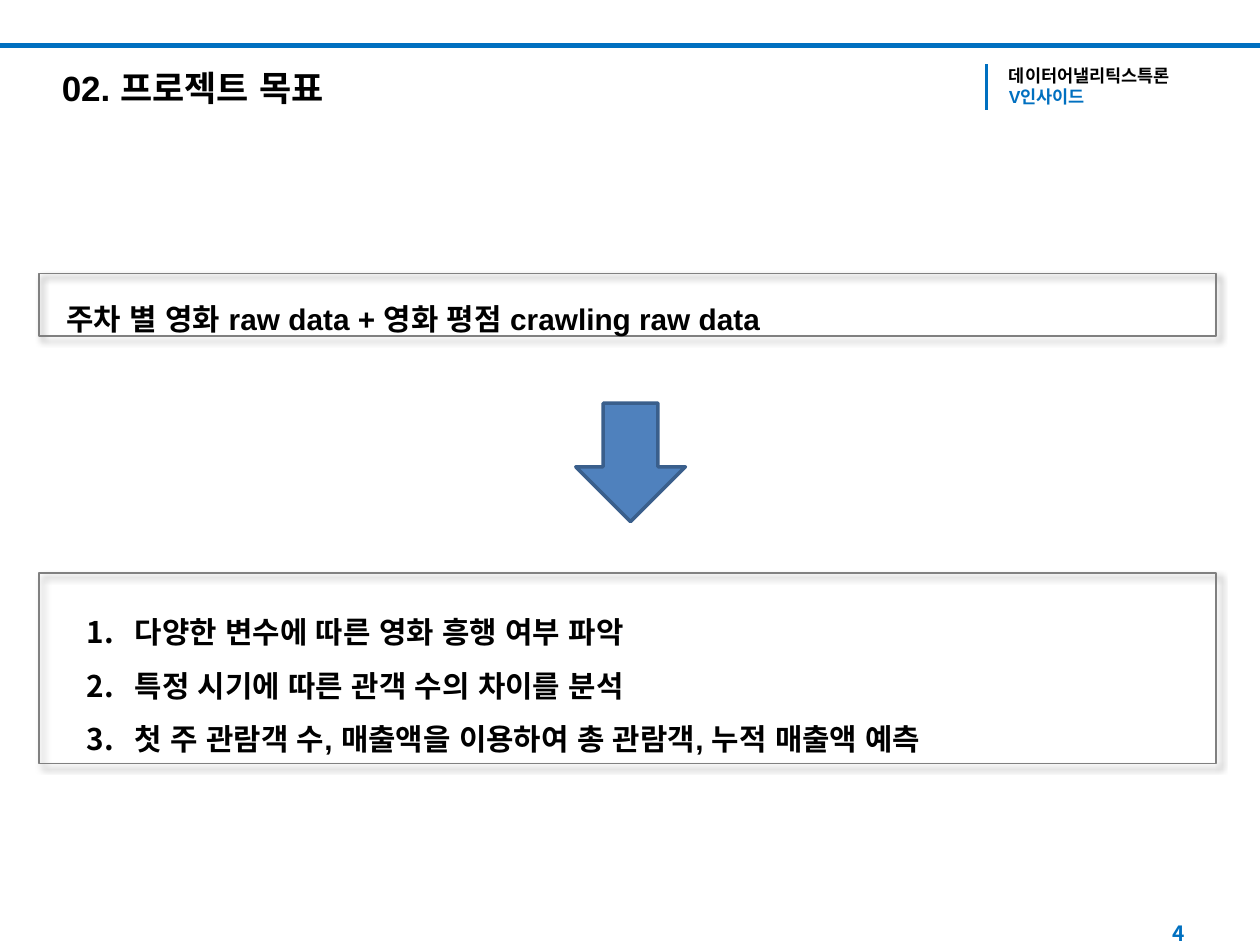
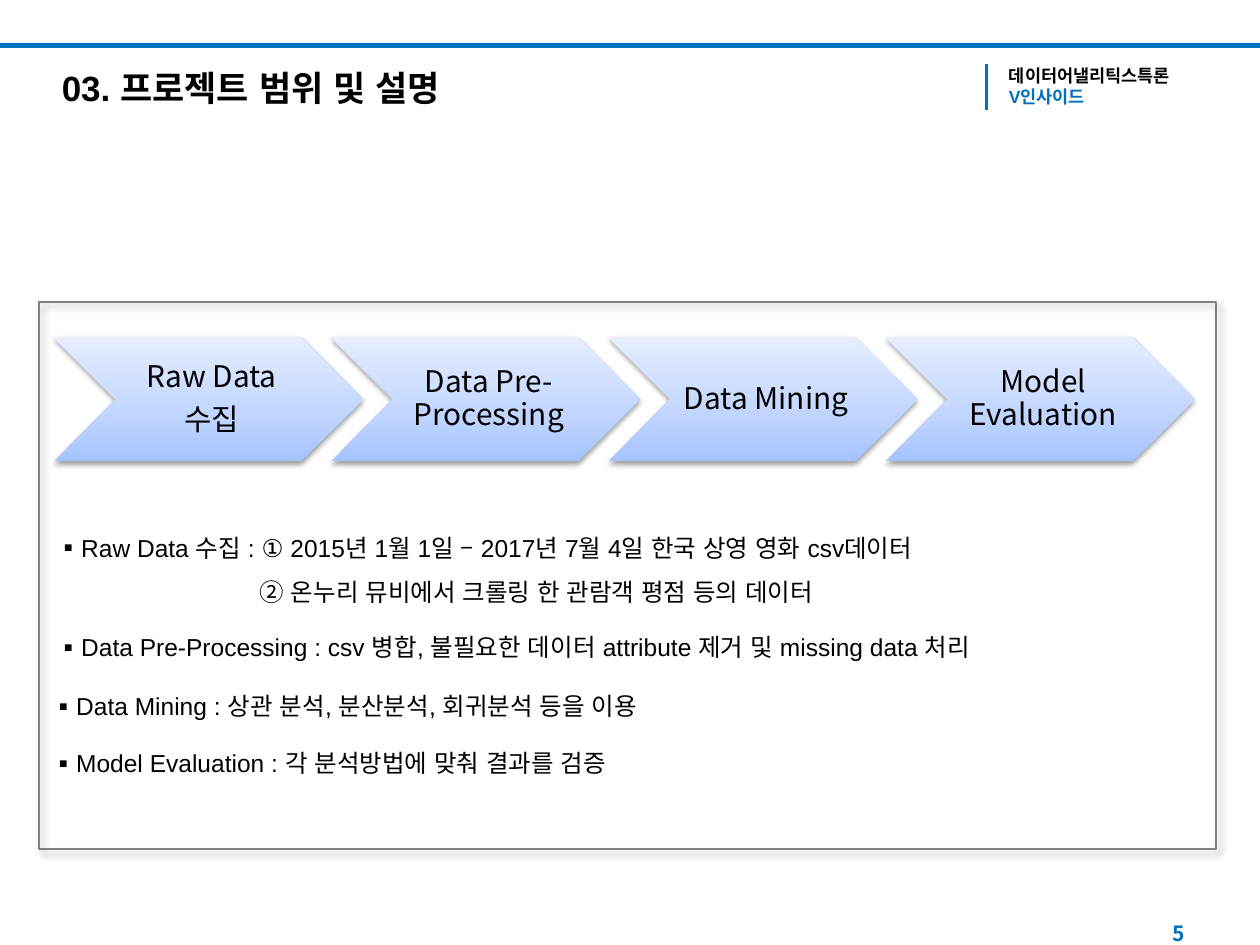
"""Build two project slides: the goal, and the scope with its process steps."""
from copy import deepcopy
from dataclasses import dataclass

from lxml import etree
from pptx import Presentation
from pptx.dml.color import RGBColor
from pptx.enum.lang import MSO_LANGUAGE_ID
from pptx.enum.shapes import MSO_CONNECTOR, MSO_SHAPE
from pptx.enum.text import MSO_ANCHOR, MSO_AUTO_SIZE, PP_ALIGN
from pptx.oxml.ns import qn
from pptx.util import Inches, Pt

KOREAN = MSO_LANGUAGE_ID.KOREAN
STRAIGHT = MSO_CONNECTOR.STRAIGHT
RECTANGLE, DOWN_ARROW, CHEVRON = MSO_SHAPE.RECTANGLE, MSO_SHAPE.DOWN_ARROW, MSO_SHAPE.CHEVRON
TOP, MIDDLE = MSO_ANCHOR.TOP, MSO_ANCHOR.MIDDLE
NO_AUTOFIT = MSO_AUTO_SIZE.NONE
LEFT, CENTER, RIGHT, JUSTIFY = PP_ALIGN.LEFT, PP_ALIGN.CENTER, PP_ALIGN.RIGHT, PP_ALIGN.JUSTIFY


@dataclass(frozen=True)
class Theme:
    """Colours, fonts and type sizes."""
    black: RGBColor = RGBColor.from_string("000000")
    accent: RGBColor = RGBColor.from_string("0070C0")
    frame: RGBColor = RGBColor.from_string("808080")
    arrow: RGBColor = RGBColor.from_string("4F81BD")
    arrow_edge: RGBColor = RGBColor.from_string("3A5F8C")
    step_stops: tuple = ((0, "A4C4FF"), (0.35, "BFD4FF"), (1, "E6EEFF"))
    latin: str = "Arial"
    korean: str = "Noto Sans CJK KR"
    title: int = 20
    goal: int = 17
    detail: int = 14
    number: int = 12
    label: int = 10


theme = Theme()


def add_run(paragraph, text, size, bold=False, color=theme.black, latin=theme.latin):
    run = paragraph.add_run()
    run.text = text
    font = run.font
    font.size, font.bold, font.name = Pt(size), bold, latin
    font.color.rgb = color
    font.language_id = KOREAN
    east_asian = etree.SubElement(run._r.rPr, qn("a:ea"))
    east_asian.set("typeface", theme.korean)


def add_shadow(shape, blur, distance, angle, opacity):
    shape.shadow.inherit = False
    effects = shape._element.spPr.find(qn("a:effectLst"))
    shadow = etree.SubElement(effects, qn("a:outerShdw"), blurRad=str(Pt(blur)),
                              dist=str(Pt(distance)), dir=str(angle * 60000),
                              algn="tl", rotWithShape="0")
    color = etree.SubElement(shadow, qn("a:srgbClr"), val=str(theme.black))
    etree.SubElement(color, qn("a:alpha"), val=str(opacity * 1000))


number_bullet = ("a:buAutoNum", {"type": "arabicPeriod"})
square_bullet = ("a:buChar", {"char": "▪"})
no_bullet = ("a:buNone", {})

pages = [
    {
        "title": "02. 프로젝트 목표",
        "title_width": 3.44,
        "frames": [(2.17, 0.5), (4.55, 1.51)],
        "body": (0.59, 4.68, 8.5, 1.39),
        "size": theme.goal,
        "bold": True,
        "items": [
            ("다양한 변수에 따른 영화 흥행 여부 파악", 0.38, -0.38, 0, number_bullet),
            ("특정 시기에 따른 관객 수의 차이를 분석", 0.38, -0.38, 0, number_bullet),
            ("첫 주 관람객 수, 매출액을 이용하여 총 관람객, 누적 매출액 예측",
             0.38, -0.38, 0, number_bullet),
        ],
    },
    {
        "title": "03. 프로젝트 범위 및 설명",
        "title_width": 3.66,
        "frames": [(2.4, 4.34)],
        "body": (0.31, 4.06, 9.34, 2.16),
        "size": theme.detail,
        "bold": False,
        "items": [
            ("Raw Data 수집 : ① 2015년 1월 1일 – 2017년 7월 4일 한국 상영 영화 csv데이터",
             0.16, -0.12, 0, square_bullet),
            ("② 온누리 뮤비에서 크롤링 한 관람객 평점 등의 데이터", 1.65, 0, 0, no_bullet),
            ("Data Pre-Processing : csv 병합, 불필요한 데이터 attribute 제거 및 missing data 처리",
             0.16, -0.12, 6.5, square_bullet),
            ("Data Mining : 상관 분석, 분산분석, 회귀분석 등을 이용", 0.12, -0.12, 8.5, square_bullet),
            ("Model Evaluation : 각 분석방법에 맞춰 결과를 검증", 0.12, -0.12, 7.5, square_bullet),
        ],
    },
]

presentation = Presentation()
presentation.slide_width, presentation.slide_height = Inches(10), Inches(7.5)
title_and_content = presentation.slide_layouts[1]

for page_number, page in enumerate(pages, start=4):
    slide = presentation.slides.add_slide(title_and_content)

    for x1, y1, x2, y2, weight in [(-0.02, 0.36, 10.02, 0.36, 3), (7.83, 0.51, 7.83, 0.87, 2)]:
        rule = slide.shapes.add_connector(STRAIGHT, Inches(x1), Inches(y1), Inches(x2), Inches(y2))
        rule.line.color.rgb, rule.line.width = theme.accent, Pt(weight)
        etree.SubElement(rule._element.spPr, qn("a:effectLst"))

    title = slide.shapes.title
    title.left, title.top = Inches(0.39), Inches(0.48)
    title.width, title.height = Inches(page["title_width"]), Inches(0.44)
    title.text_frame.auto_size = NO_AUTOFIT
    title.text_frame.vertical_anchor = TOP
    paragraph = title.text_frame.paragraphs[0]
    paragraph.alignment = LEFT
    add_run(paragraph, page["title"], theme.title, True)

    label = slide.shapes.add_textbox(Inches(7.91), Inches(0.47), Inches(1.6), Inches(0.61)).text_frame
    label.word_wrap = False
    add_run(label.paragraphs[0], "데이터어낼리틱스특론", theme.label, True)
    add_run(label.add_paragraph(), "V인사이드", theme.label, True, theme.accent)

    footer = slide.shapes.add_textbox(Inches(7.17), Inches(7.21), Inches(2.33), Inches(0.4)).text_frame
    footer.word_wrap = True
    footer.vertical_anchor = MIDDLE
    footer.paragraphs[0].alignment = RIGHT
    add_run(footer.paragraphs[0], str(page_number), theme.number, True, theme.accent, theme.korean)

    for top, height in page["frames"]:
        frame = slide.shapes.add_shape(RECTANGLE, Inches(0.31), Inches(top), Inches(9.34), Inches(height))
        frame.fill.background()
        frame.line.color.rgb, frame.line.width = theme.frame, Pt(1)
        add_shadow(frame, 4, 3, 45, 40)

    body = slide.placeholders[1]
    body.left, body.top, body.width, body.height = map(Inches, page["body"])
    body.text_frame.auto_size = NO_AUTOFIT
    body.text_frame.vertical_anchor = TOP
    for index, (text, margin, indent, space_before, (bullet, attributes)) in enumerate(page["items"]):
        paragraph = body.text_frame.add_paragraph() if index else body.text_frame.paragraphs[0]
        properties = paragraph._p.get_or_add_pPr()
        properties.set("marL", str(Inches(margin)))
        properties.set("indent", str(Inches(indent)))
        etree.SubElement(properties, qn("a:buFont"), typeface=theme.korean)
        etree.SubElement(properties, qn(bullet), attributes)
        paragraph.line_spacing = 1.5
        paragraph.space_before = Pt(space_before)
        add_run(paragraph, text, page["size"], page["bold"])

goal_slide, scope_slide = presentation.slides

sources = goal_slide.shapes.add_textbox(Inches(0.43), Inches(2.2), Inches(9), Inches(0.53)).text_frame
sources.word_wrap = True
paragraph = sources.paragraphs[0]
paragraph.alignment, paragraph.line_spacing = JUSTIFY, 1.5
add_run(paragraph, "주차 별 영화 raw data + 영화 평점 crawling raw data", theme.goal, True)

arrow = goal_slide.shapes.add_shape(DOWN_ARROW, Inches(4.57), Inches(3.2), Inches(0.87), Inches(0.94))
arrow.shadow.inherit = False
arrow.fill.solid()
arrow.fill.fore_color.rgb = theme.arrow
arrow.line.color.rgb, arrow.line.width = theme.arrow_edge, Pt(2)

steps = [["Raw Data", "수집"], ["Data Pre-Processing"], ["Data Mining"], ["Model Evaluation"]]
for index, lines in enumerate(steps):
    step = scope_slide.shapes.add_shape(CHEVRON, Inches(0.43 + 2.2 * index), Inches(2.68),
                                        Inches(2.45), Inches(0.98))
    step.fill.gradient()
    step.fill.gradient_angle = 90
    stop_list = step._element.spPr.find(".//" + qn("a:gsLst"))
    stop_list.insert(1, deepcopy(stop_list[0]))
    for stop, (position, color) in zip(step.fill.gradient_stops, theme.step_stops):
        stop.position = position
        stop.color.rgb = RGBColor.from_string(color)
    step.line.fill.background()
    add_shadow(step, 3.1, 1.6, 90, 38)

    text_frame = step.text_frame
    text_frame.word_wrap = True
    text_frame.vertical_anchor = MIDDLE
    text_frame.margin_left = Inches(0.07)
    text_frame.margin_top = text_frame.margin_right = text_frame.margin_bottom = Inches(0.02)
    for line_index, line in enumerate(lines):
        paragraph = text_frame.add_paragraph() if line_index else text_frame.paragraphs[0]
        paragraph.alignment, paragraph.line_spacing = CENTER, 0.9
        paragraph.space_after = Pt(6)
        add_run(paragraph, line, theme.goal, latin=theme.korean)

presentation.save("out.pptx")
